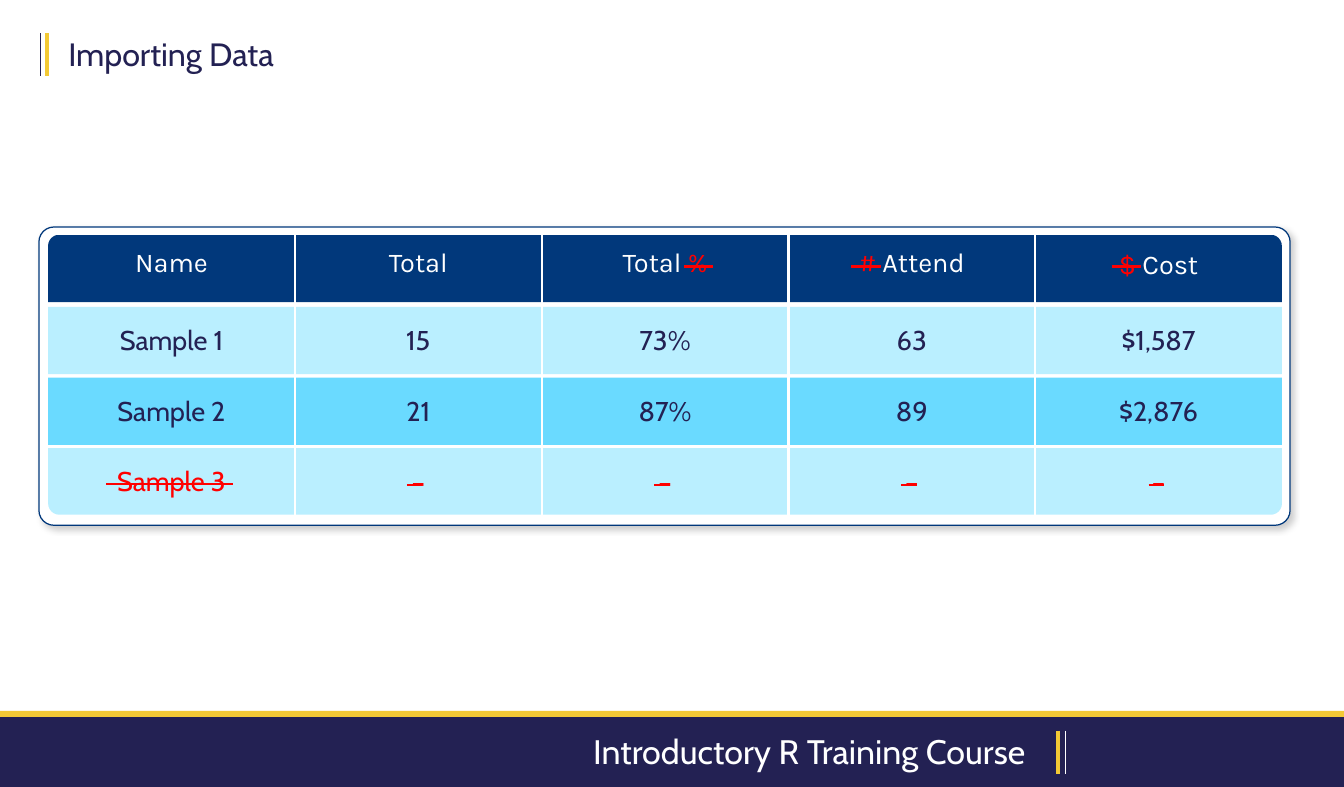
import lxml.etree
import pptx
import pptx.dml.color
import pptx.enum.shapes
import pptx.enum.text
import pptx.oxml
import pptx.oxml.ns
import pptx.util

Cm = pptx.util.Cm
Pt = pptx.util.Pt
RGBColor = pptx.dml.color.RGBColor
SHAPE = pptx.enum.shapes.MSO_SHAPE
ALIGN = pptx.enum.text.PP_ALIGN
ANCHOR = pptx.enum.text.MSO_ANCHOR
qn = pptx.oxml.ns.qn

NAVY = RGBColor(0x23, 0x21, 0x53)
GOLD = RGBColor(0xF3, 0xC9, 0x35)
WHITE = RGBColor(0xFF, 0xFF, 0xFF)
BLUE = RGBColor(0x01, 0x38, 0x7B)
PALE = RGBColor(0xBA, 0xEF, 0xFF)
SKY = RGBColor(0x6A, 0xDA, 0xFF)
RED = RGBColor(0xFF, 0x00, 0x00)

DRAWING = 'xmlns:a="http://schemas.openxmlformats.org/drawingml/2006/main"'
SHADOW = (
    f'<a:effectLst {DRAWING}><a:outerShdw blurRad="50800" dist="25400" dir="2700000">'
    '<a:srgbClr val="000000"><a:alpha val="20000"/></a:srgbClr></a:outerShdw></a:effectLst>'
)

deck = pptx.Presentation()
deck.slide_width, deck.slide_height = Cm(27.94), Cm(16.36)
slide = deck.slides.add_slide(deck.slide_layouts[6])


def add_block(kind, left, top, width, height, color):
    block = slide.shapes.add_shape(kind, Cm(left), Cm(top), Cm(width), Cm(height))
    block.shadow.inherit = False
    block.fill.solid()
    block.fill.fore_color.rgb = color
    block.line.fill.background()
    return block


def add_words(paragraph, words, size, face, color):
    run = paragraph.add_run()
    run.text = words
    for name, value in {"size": Pt(size), "name": face}.items():
        setattr(run.font, name, value)
    run.font.color.rgb = color


add_block(SHAPE.RECTANGLE, 0, 14.78, 27.94, 1.37, GOLD)
add_block(SHAPE.RECTANGLE, 0, 14.91, 27.94, 1.45, NAVY)

for words, left, top, width, height, size, color, align, wrap in (
    ("Introductory R Training Course", 8.18, 15.06, 13.39, 1.14, 20, WHITE, ALIGN.RIGHT, True),
    ("Importing Data", 1.17, 0.58, 4.9, 1.07, 19, NAVY, ALIGN.LEFT, False),
):
    title = slide.shapes.add_textbox(Cm(left), Cm(top), Cm(width), Cm(height)).text_frame
    title.word_wrap = wrap
    title.paragraphs[0].alignment = align
    add_words(title.paragraphs[0], words, size, "Cabin", color)

panel = add_block(SHAPE.ROUNDED_RECTANGLE, 0.81, 4.72, 26.01, 6.2, WHITE)
panel.adjustments[0] = 0.05
panel.line.color.rgb = BLUE
panel.line.width = Pt(0.75)
panel_look = panel.fill._xPr
panel_look.remove(panel_look.find(qn("a:effectLst")))
panel_look.append(pptx.oxml.parse_xml(SHADOW))

for kind, top, color, turn in (
    (SHAPE.ROUND_2_SAME_RECTANGLE, 4.88, BLUE, 0),
    (SHAPE.RECTANGLE, 6.38, PALE, 0),
    (SHAPE.RECTANGLE, 7.85, SKY, 0),
    (SHAPE.ROUND_2_SAME_RECTANGLE, 9.3, PALE, 180),
):
    add_block(kind, 1, top, 25.65, 1.4, color).rotation = turn

headers = (
    [("Name", WHITE)],
    [("Total", WHITE)],
    [("Total ", WHITE), ("%", RED)],
    [("#", RED), (" Attend", WHITE)],
    [("$ ", RED), ("Cost", WHITE)],
)
samples = (
    ("Sample 1", "15", "73%", "63", "$1,587"),
    ("Sample 2", "21", "87%", "89", "$2,876"),
    ("Sample 3", "-", "-", "-", "-"),
)
rows = [headers]
for sample in samples:
    color = RED if sample is samples[-1] else NAVY
    rows.append([[(value, color)] for value in sample])

table = slide.shapes.add_table(4, 5, Cm(1), Cm(4.88), Cm(25.65), Cm(5.88)).table
table.first_row = table.horz_banding = False
for column in table.columns:
    column.width = Cm(5.13)
for row in table.rows:
    row.height = Cm(1.47)

for r, row in enumerate(rows):
    for c, parts in enumerate(row):
        cell = table.cell(r, c)
        lift = 0 if r else 0.18 if c == 4 else 0.28
        cell_format = {
            "vertical_anchor": ANCHOR.MIDDLE,
            "margin_top": 0,
            "margin_bottom": Cm(lift),
        }
        for name, value in cell_format.items():
            setattr(cell, name, value)
        paragraph = cell.text_frame.paragraphs[0]
        paragraph.alignment = ALIGN.CENTER
        for words, color in parts:
            add_words(paragraph, words, 20 if words == "-" else 16, "Cabin" if r else "Karla", color)
        cell_look = cell._tc.get_or_add_tcPr()
        for side, inner in (("a:lnL", c > 0), ("a:lnR", c < 4)):
            border = lxml.etree.SubElement(cell_look, qn(side), w=str(Pt(1.5)))
            if inner:
                paint = lxml.etree.SubElement(border, qn("a:solidFill"))
                lxml.etree.SubElement(paint, qn("a:srgbClr"), val=str(WHITE))
            else:
                lxml.etree.SubElement(border, qn("a:noFill"))
        cell.fill.background()

strokes = [
    (22, 15.19, 22, 16.1, GOLD, 2.25),
    (22.15, 15.19, 22.15, 16.1, WHITE, 1),
    (0.97, 0.69, 0.97, 1.57, GOLD, 2.25),
    (0.84, 0.69, 0.84, 1.57, NAVY, 1),
    (2.21, 10.06, 4.85, 10.06, RED, 1.5),
]
for left in (14.22, 17.7, 23.11):
    strokes.append((left, 5.54, left + 0.61, 5.54, RED, 1.5))
for i in range(4):
    left = 8.46 + 5.14 * i
    strokes.append((left, 10.08, left + 0.32, 10.08, RED, 1.5))

for x1, y1, x2, y2, color, weight in strokes:
    stroke = slide.shapes.add_connector(
        pptx.enum.shapes.MSO_CONNECTOR.STRAIGHT, Cm(x1), Cm(y1), Cm(x2), Cm(y2)
    )
    stroke.line.color.rgb = color
    stroke.line.width = Pt(weight)
    lxml.etree.SubElement(stroke._element.spPr, qn("a:effectLst"))

deck.save("out.pptx")
